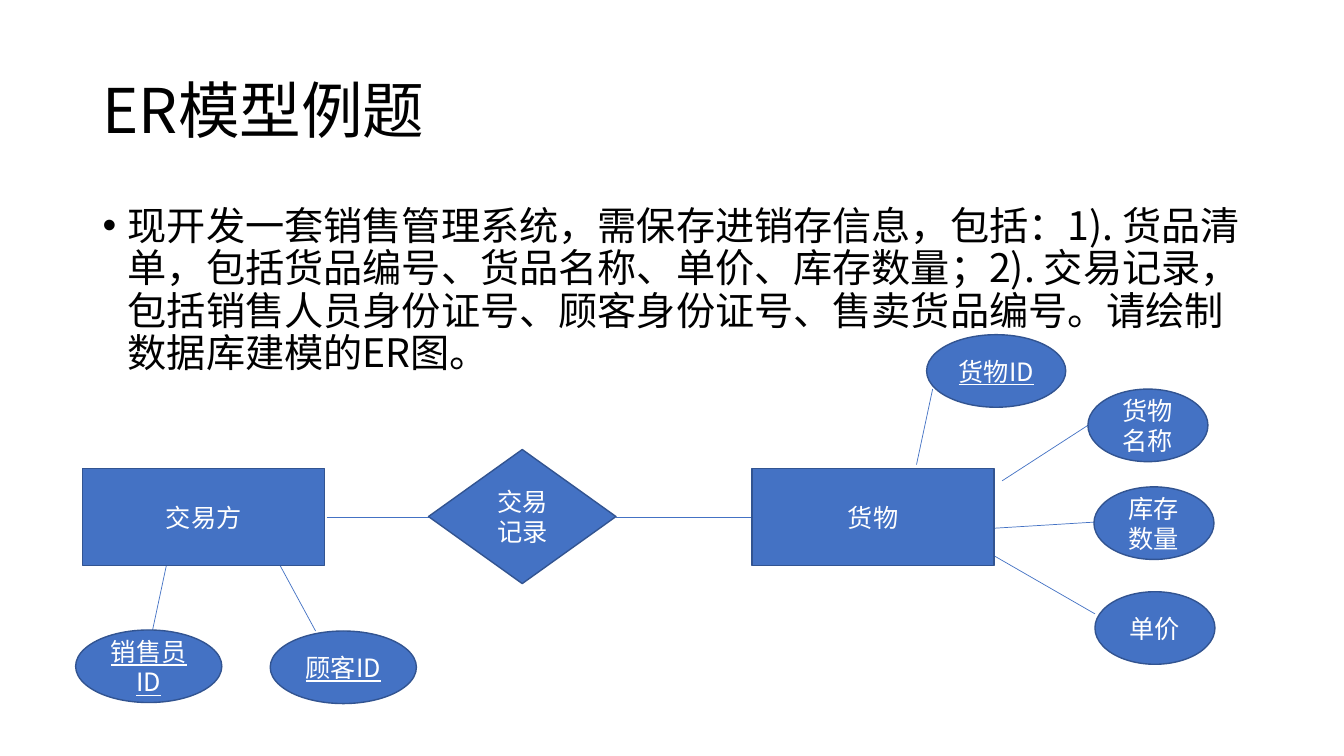
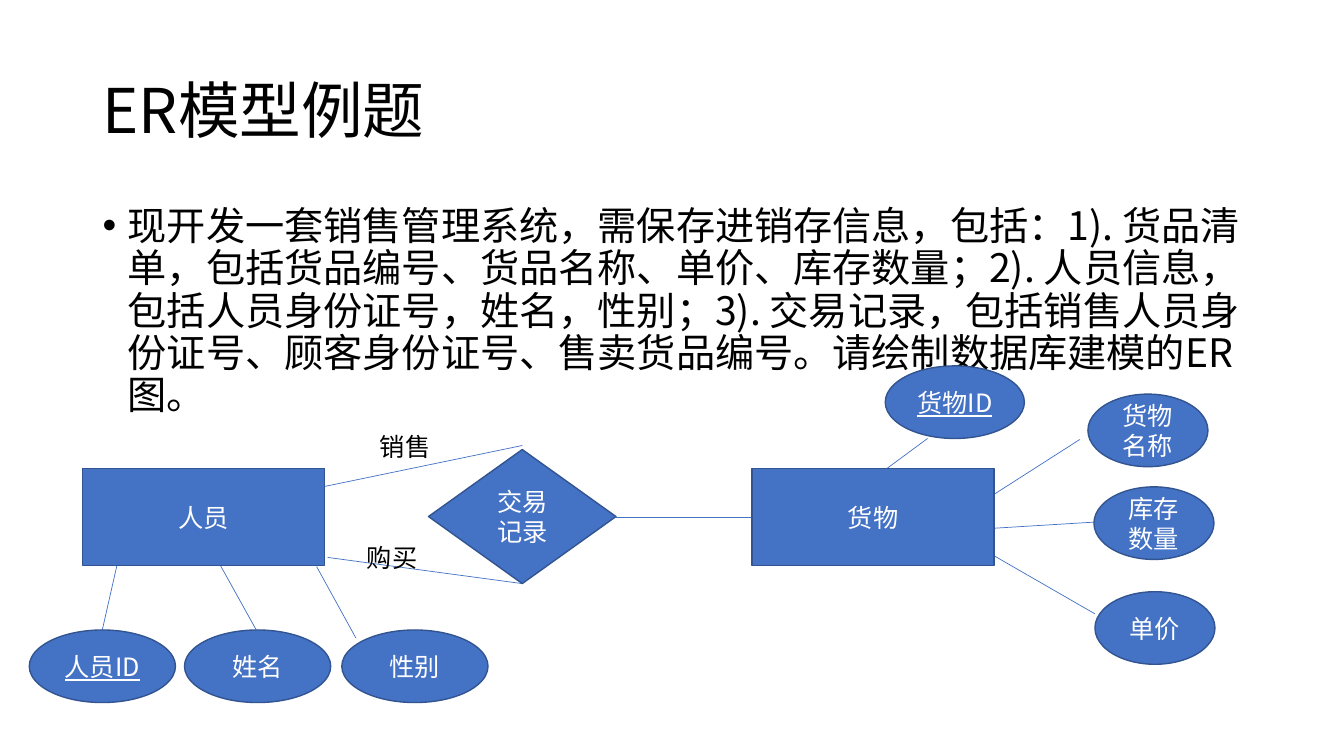
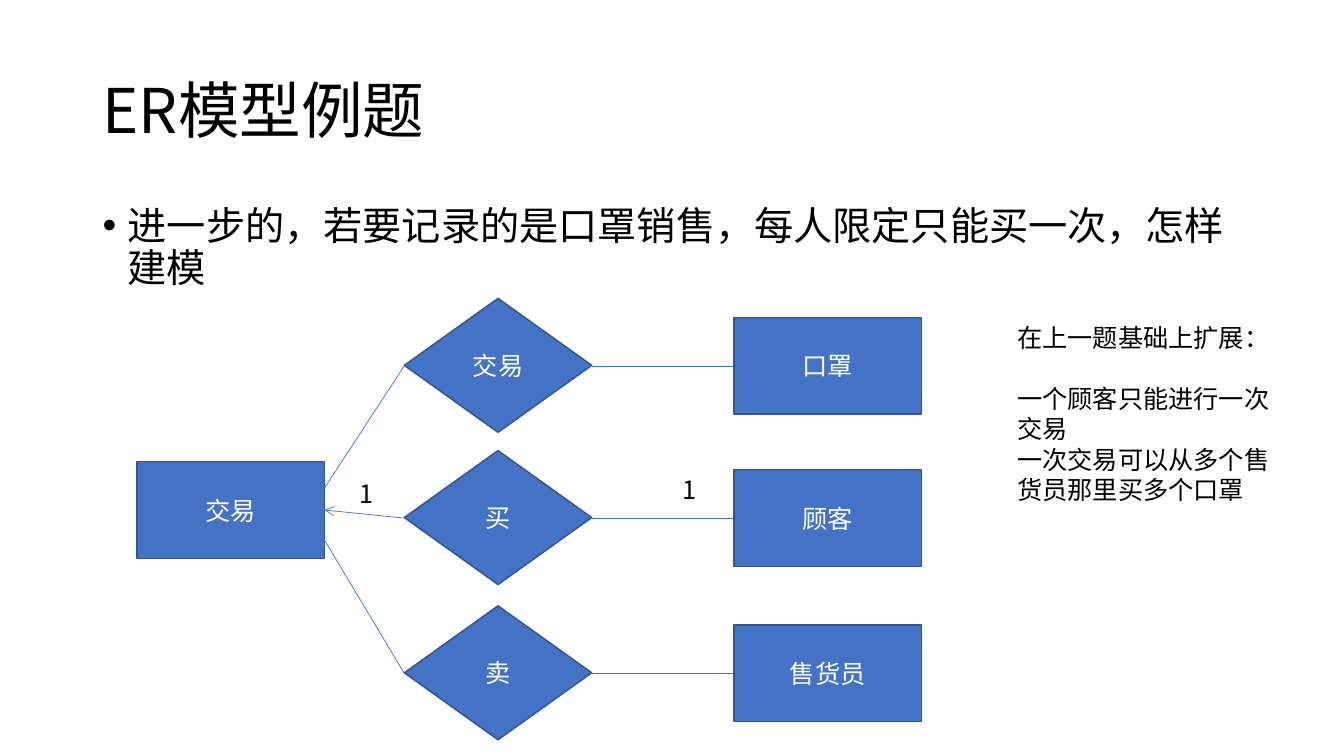
from lxml import etree
from pptx import Presentation
from pptx.dml.color import RGBColor
from pptx.enum.lang import MSO_LANGUAGE_ID
from pptx.enum.shapes import MSO_CONNECTOR, MSO_SHAPE
from pptx.enum.text import MSO_ANCHOR, PP_ALIGN
from pptx.oxml.ns import qn
from pptx.util import Inches, Pt

RECTANGLE, ELLIPSE, DIAMOND = MSO_SHAPE.RECTANGLE, MSO_SHAPE.OVAL, MSO_SHAPE.DIAMOND
STRAIGHT = MSO_CONNECTOR.STRAIGHT
TOP, MIDDLE = MSO_ANCHOR.TOP, MSO_ANCHOR.MIDDLE
LEFT, CENTER = PP_ALIGN.LEFT, PP_ALIGN.CENTER
CHINESE = MSO_LANGUAGE_ID.SIMPLIFIED_CHINESE

FONT = "Noto Sans CJK SC"
COLORS = {"text": "000000", "fill": "4472C4", "outline": "325491", "light": "FFFFFF"}

ENTITY_SIZE = (2.4, 0.96)
SMALL_ENTITY_SIZE = (1.86, 0.96)
RELATION_SIZE = (1.86, 1.33)
GOODS_ATTRIBUTE_SIZE = (1.19, 0.72)
GOODS_KEY_SIZE = (1.38, 0.72)
PERSON_ATTRIBUTE_SIZE = (1.45, 0.72)

TITLE = "ER模型例题"
GOODS_TASK = "现开发一套销售管理系统，需保存进销存信息，包括：1). 货品清单，包括货品编号、货品名称、单价、库存数量；"
RECORD_TASK = "交易记录，包括销售人员身份证号、顾客身份证号、售卖货品编号。请绘制数据库建模的ER图。"
PEOPLE_TASK = "人员信息，包括人员身份证号，姓名，性别；"


def color(name):
    """Return a palette colour."""
    return RGBColor.from_string(COLORS[name])


def write_text(para, text, size=18, ink="text", underline=False, align=LEFT,
               line_spacing=None, before=0, bullet=False):
    """Write text into a paragraph with the given format."""
    para.alignment = align
    para.space_before = Pt(before)
    if line_spacing:
        para.line_spacing = line_spacing
    if bullet:
        properties = para._p.get_or_add_pPr()
        properties.set("marL", str(Inches(0.25)))
        properties.set("indent", str(Inches(-0.25)))
        etree.SubElement(properties, qn("a:buFont"), typeface="Arial")
        etree.SubElement(properties, qn("a:buChar"), char="•")
    span = para.add_run()
    span.text = text
    span.font.name = FONT
    span.font.size = Pt(size)
    span.font.color.rgb = color(ink)
    span.font.language_id = CHINESE
    if underline:
        span.font.underline = True
    east_asian = etree.Element(qn("a:ea"), typeface=FONT)
    span.font._element.find(qn("a:latin")).addnext(east_asian)


class ModelDeck:
    """Holds the deck style and the current slide."""

    def __init__(self):
        """Start an empty wide deck."""
        self.deck = Presentation()
        self.deck.slide_width = Inches(13.33)
        self.deck.slide_height = Inches(7.5)
        self.page = None

    def add_page(self, task):
        """Add a slide with the shared title and a bulleted task."""
        self.page = self.deck.slides.add_slide(self.deck.slide_layouts[6])
        self.text(0.92, 0.4, 11.5, 1.45, TITLE, anchor=MIDDLE, size=44, line_spacing=0.9)
        self.text(0.92, 2, 11.5, 4.76, task, size=28, line_spacing=0.9, before=10, bullet=True)

    def text(self, left, top, width, height, text, anchor=TOP, **style):
        """Add a wrapped text box and return its frame."""
        box = self.page.shapes.add_textbox(Inches(left), Inches(top), Inches(width), Inches(height))
        frame = box.text_frame
        frame.word_wrap = True
        frame.vertical_anchor = anchor
        write_text(frame.paragraphs[0], text, **style)
        return frame

    def node(self, kind, left, top, size, text, key=False):
        """Add an entity, attribute or relation; key attributes are underlined."""
        width, height = size
        shape = self.page.shapes.add_shape(
            kind, Inches(left), Inches(top), Inches(width), Inches(height))
        shape.shadow.inherit = False
        shape.fill.solid()
        shape.fill.fore_color.rgb = color("fill")
        shape.line.color.rgb = color("outline")
        shape.line.width = Pt(1)
        shape.text_frame.word_wrap = True
        shape.text_frame.vertical_anchor = MIDDLE
        write_text(shape.text_frame.paragraphs[0], text, ink="light", align=CENTER, underline=key)

    def link(self, x1, y1, x2, y2, arrow=False):
        """Add a thin line, with an optional arrowhead at its start."""
        line = self.page.shapes.add_connector(
            STRAIGHT, Inches(x1), Inches(y1), Inches(x2), Inches(y2))
        line.line.color.rgb = color("fill")
        line.line.width = Pt(0.5)
        if arrow:
            etree.SubElement(line.line._get_or_add_ln(), qn("a:headEnd"), type="arrow")
        etree.SubElement(line._element.spPr, qn("a:effectLst"))

    def sales_model(self, party, key_at, name_top, links, attributes):
        """Draw a party, the trade relation and the goods with their attributes."""
        shared_links = [(9.87, 5.24, 10.85, 5.18), (9.87, 5.52, 10.86, 6.09), (6.11, 5.13, 7.46, 5.13)]
        for ends in shared_links + links:
            self.link(*ends)
        self.node(RECTANGLE, 0.82, 4.65, ENTITY_SIZE, party)
        self.node(DIAMOND, 4.25, 4.46, RELATION_SIZE, "交易记录")
        self.node(RECTANGLE, 7.46, 4.65, ENTITY_SIZE, "货物")
        self.node(ELLIPSE, *key_at, GOODS_KEY_SIZE, "货物ID", key=True)
        for left, top, name in [(10.79, name_top, "货物名称"), (10.85, 4.83, "库存数量"), (10.86, 5.87, "单价")]:
            self.node(ELLIPSE, left, top, GOODS_ATTRIBUTE_SIZE, name)
        for left, top, name, key in attributes:
            self.node(ELLIPSE, left, top, PERSON_ATTRIBUTE_SIZE, name, key)


def add_party_page(model):
    """Build the model with one trading party."""
    model.add_page(GOODS_TASK + "2). " + RECORD_TASK)
    model.sales_model(
        "交易方", (9.19, 3.32), 3.86,
        links=[(9.09, 4.61, 9.25, 3.86), (9.94, 4.77, 10.79, 4.22), (3.13, 6.26, 2.74, 5.54),
               (1.49, 6.36, 1.65, 5.61), (3.24, 5.13, 4.59, 5.13)],
        attributes=[(0.75, 6.25, "销售员ID", True), (2.68, 6.26, "顾客ID", True)])


def add_people_page(model):
    """Build the model where people sell and buy."""
    model.add_page(GOODS_TASK + "2). " + PEOPLE_TASK + "3). " + RECORD_TASK)
    model.sales_model(
        "人员", (8.78, 3.63), 3.91,
        links=[(8.78, 4.66, 9.2, 4.35), (9.85, 4.91, 10.71, 4.36), (2.57, 6.3, 2.17, 5.58),
               (1.01, 6.27, 1.18, 5.52), (3.53, 6.33, 3.14, 5.62), (3.2, 4.83, 5.18, 4.42),
               (3.25, 5.53, 5.18, 5.79)],
        attributes=[(0.29, 6.25, "人员ID", True), (1.83, 6.25, "姓名", False), (3.39, 6.25, "性别", False)])
    for left, top, role in [(3.67, 4.23, "销售"), (3.54, 5.33, "购买")]:
        model.text(left, top, 1.09, 0.4, role)


def add_mask_page(model):
    """Build the model that limits each customer to one trade."""
    model.add_page("进一步的，若要记录的是口罩销售，每人限定只能买一次，怎样建模")
    rows = [(3.15, "交易", "口罩", 4.84, False), (4.66, "买", "顾客", 5.06, True), (6.2, "卖", "售货员", 5.36, False)]
    model.node(RECTANGLE, 1.36, 4.58, SMALL_ENTITY_SIZE, "交易")
    for top, relation, entity, trade_y, arrow in rows:
        middle = top + 0.48
        model.link(3.22, trade_y, 4.01, middle, arrow)
        model.link(5.87, middle, 7.28, middle)
        model.node(DIAMOND, 4.01, top - 0.19, RELATION_SIZE, relation)
        model.node(RECTANGLE, 7.28, top, SMALL_ENTITY_SIZE, entity)
    for left, top in [(6.67, 4.66), (3.47, 4.7)]:
        model.text(left, top, 0.51, 0.4, "1")
    frame = model.text(9.99, 3.15, 2.75, 2.52, "在上一题基础上扩展：")
    write_text(frame.add_paragraph(), "一个顾客只能进行一次交易", before=22)
    write_text(frame.add_paragraph(), "一次交易可以从多个售货员那里买多个口罩")


def main():
    """Build and save the deck."""
    model = ModelDeck()
    add_party_page(model)
    add_people_page(model)
    add_mask_page(model)
    model.deck.save("out.pptx")


if __name__ == "__main__":
    main()
